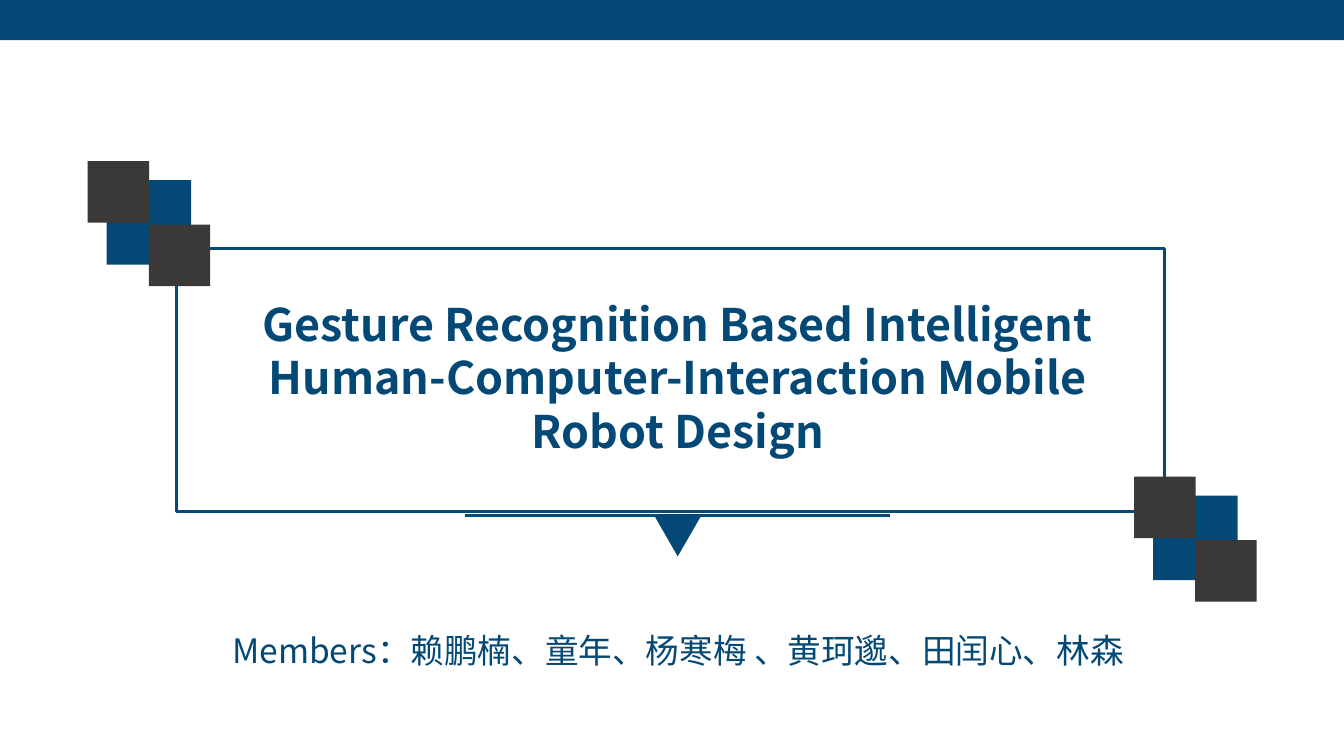
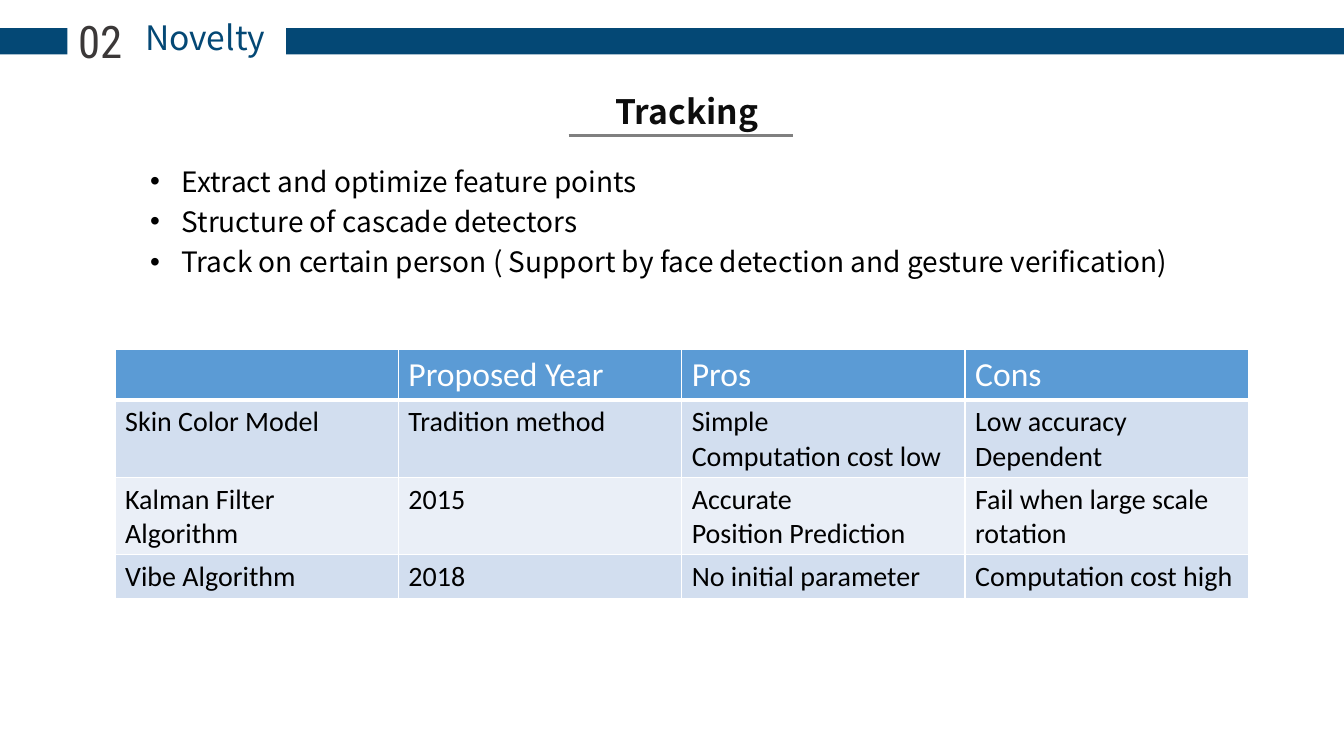
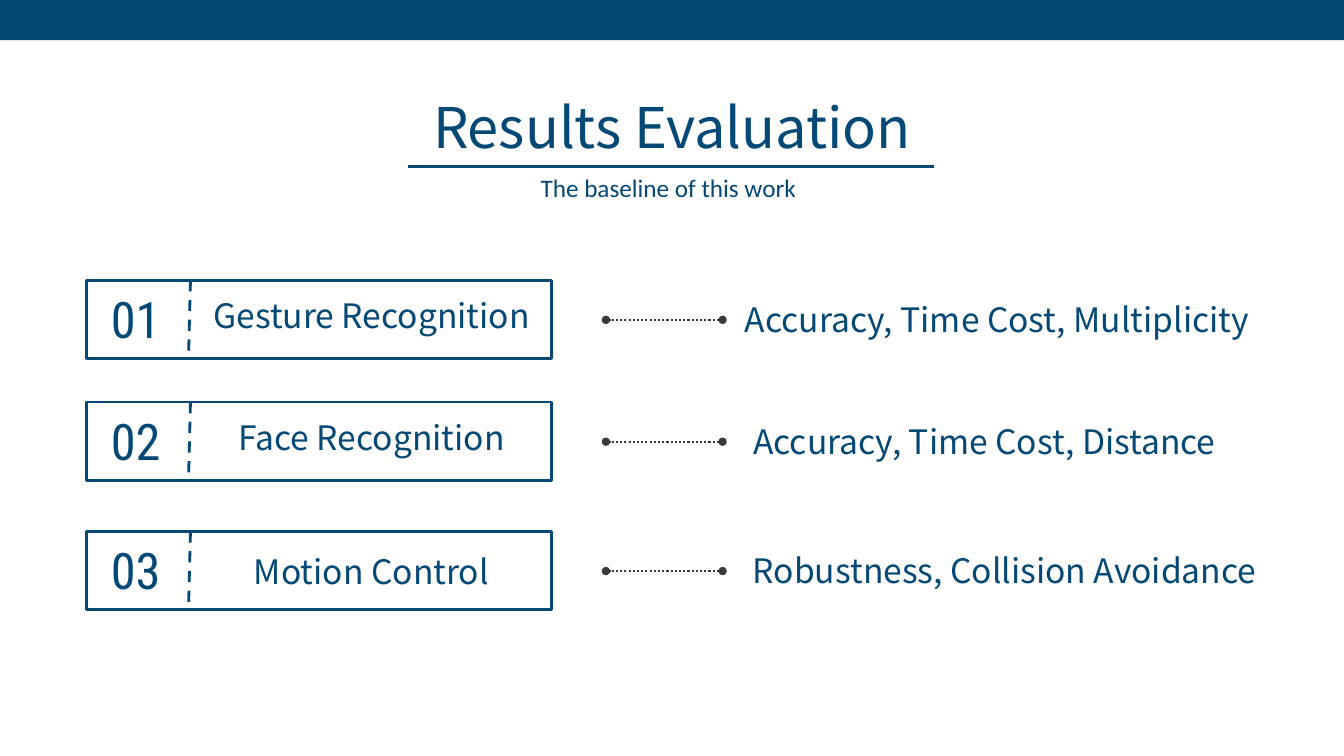
from lxml.etree import SubElement
from pptx import Presentation
from pptx.dml.color import RGBColor
from pptx.enum.dml import MSO_LINE
from pptx.enum.shapes import MSO_CONNECTOR, MSO_SHAPE
from pptx.enum.text import MSO_ANCHOR, MSO_AUTO_SIZE, PP_ALIGN
from pptx.oxml.ns import qn
from pptx.util import Cm, Pt

NAVY = RGBColor(0x04, 0x48, 0x75)
CHARCOAL = RGBColor(0x3B, 0x38, 0x38)
GRAY = RGBColor(0x80, 0x80, 0x80)
INK = RGBColor(0x0D, 0x0D, 0x0D)
BLACK = RGBColor(0, 0, 0)
WHITE = RGBColor(0xFF, 0xFF, 0xFF)
HEADER_BLUE = RGBColor(0x5B, 0x9B, 0xD5)
ROW_FILLS = [RGBColor(0xD2, 0xDE, 0xEF), RGBColor(0xEA, 0xEF, 0xF7)]

SANS = "Noto Sans CJK SC"
NUMERAL = "Roboto Condensed"
TABLE_FONT = "Calibri"

SLIDE_WIDTH, SLIDE_HEIGHT = 33.87, 19.05

COVER_TITLE = [
    "Gesture Recognition Based Intelligent",
    "Human-Computer-Interaction Mobile Robot Design",
]
MEMBERS = ["Members：赖鹏楠、童年、杨寒梅 、黄珂邈、田闰心、林森"]
SQUARE_CLUSTERS = [(28.58, 12.01), (2.21, 4.06)]

TRACKING_POINTS = [
    "Extract and optimize feature points",
    "Structure of cascade detectors",
    "Track on certain person ( Support by face detection and gesture verification)",
]
METHODS = [
    ("", "Proposed Year", "Pros", "Cons"),
    ("Skin Color Model", "Tradition method", "Simple\nComputation cost low", "Low accuracy\nDependent"),
    ("Kalman Filter Algorithm", "2015", "Accurate\nPosition Prediction", "Fail when large scale rotation"),
    ("Vibe Algorithm", "2018", "No initial parameter", "Computation cost high"),
]
METHOD_ROW_HEIGHTS = [1.26, 1.94, 1.94, 1.09]
METHOD_COLUMN_WIDTH = 7.14

EVALUATIONS = [
    dict(top=7.06, label="Gesture Recognition", label_drop=0.25,
         criteria="Accuracy, Time Cost, Multiplicity ", left=18.21, width=14.02),
    dict(top=10.13, label="Face Recognition", label_drop=0.25,
         criteria="Accuracy, Time Cost, Distance", left=18.42, width=12.78),
    dict(top=13.39, label="Motion Control", label_drop=0.36,
         criteria="Robustness, Collision Avoidance", left=18.42, width=13.79),
]


def write(frame, lines, size=24, font=SANS, color=NAVY, bold=False,
          align=PP_ALIGN.CENTER, spacing=None, bullet=None):
    for index, line in enumerate(lines):
        para = frame.paragraphs[0] if index == 0 else frame.add_paragraph()
        if bullet:
            properties = para._p.get_or_add_pPr()
            properties.set("marL", str(Cm(0.79)))
            properties.set("indent", str(-Cm(0.79)))
            SubElement(properties, qn("a:buFont")).set("typeface", "Arial")
            SubElement(properties, qn("a:buChar")).set("char", bullet)
        para.alignment = align
        para.space_before = Pt(0)
        if spacing:
            para.line_spacing = spacing
        span = para.add_run()
        span.text = line
        span.font.size = Pt(size)
        span.font.name = font
        span.font.bold = bold
        span.font.color.rgb = color
        SubElement(span._r.get_or_add_rPr(), qn("a:ea")).set("typeface", font)


def fill_placeholder(box, lines, left, top, width, height, **style):
    box.left, box.top, box.width, box.height = Cm(left), Cm(top), Cm(width), Cm(height)
    frame = box.text_frame
    frame.word_wrap = True
    frame.auto_size = MSO_AUTO_SIZE.NONE
    frame.vertical_anchor = MSO_ANCHOR.TOP
    write(frame, lines, **style)


def add_text(page, text, left, top, width, height, **style):
    box = page.shapes.add_textbox(Cm(left), Cm(top), Cm(width), Cm(height))
    box.text_frame.word_wrap = True
    write(box.text_frame, [text], **style)


def add_block(page, left, top, width, height, fill=None, outline=None, kind=MSO_SHAPE.RECTANGLE):
    shape = page.shapes.add_shape(kind, Cm(left), Cm(top), Cm(width), Cm(height))
    shape.shadow.inherit = False
    if fill is None:
        shape.fill.background()
    else:
        shape.fill.solid()
        shape.fill.fore_color.rgb = fill
    if outline is None:
        shape.line.fill.background()
    else:
        shape.line.color.rgb = outline
        shape.line.width = Pt(2)
    return shape


def add_line(page, start, end, color=NAVY, width=2, dash=None, ends=None):
    line = page.shapes.add_connector(
        MSO_CONNECTOR.STRAIGHT, Cm(start[0]), Cm(start[1]), Cm(end[0]), Cm(end[1]))
    line.line.color.rgb = color
    line.line.width = Pt(width)
    if dash:
        line.line.dash_style = dash
    if ends:
        outline = line.line._get_or_add_ln()
        for tag in ("a:headEnd", "a:tailEnd"):
            SubElement(outline, qn(tag)).set("type", ends)
    SubElement(line._element.spPr, qn("a:effectLst"))


def add_top_band(page):
    add_block(page, 0, 0, SLIDE_WIDTH, 1.01, fill=NAVY)


def add_square_cluster(page, left, top):
    add_block(page, left + 0.48, top + 0.48, 2.13, 2.13, fill=NAVY)
    for shift_x, shift_y in [(0, 0), (1.54, 1.6)]:
        add_block(page, left + shift_x, top + shift_y, 1.55, 1.55, fill=CHARCOAL)


def format_cell(cell, text, fill, bottom_width, **style):
    properties = cell._tc.get_or_add_tcPr()
    for side, width in [("L", 1), ("R", 1), ("T", 1), ("B", bottom_width)]:
        border = SubElement(properties, qn("a:ln" + side), w=str(Pt(width)))
        color = SubElement(SubElement(border, qn("a:solidFill")), qn("a:srgbClr"))
        color.set("val", str(WHITE))
    cell.fill.solid()
    cell.fill.fore_color.rgb = fill
    if text:
        write(cell.text_frame, text.split("\n"), font=TABLE_FONT, align=PP_ALIGN.LEFT, **style)


def add_methods_table(page):
    table = page.shapes.add_table(
        len(METHODS), len(METHODS[0]), Cm(2.9), Cm(8.81),
        Cm(METHOD_COLUMN_WIDTH * len(METHODS[0])), Cm(sum(METHOD_ROW_HEIGHTS))).table
    for column in table.columns:
        column.width = Cm(METHOD_COLUMN_WIDTH)
    for index, (values, height) in enumerate(zip(METHODS, METHOD_ROW_HEIGHTS)):
        table.rows[index].height = Cm(height)
        for column, text in enumerate(values):
            cell = table.cell(index, column)
            if index == 0:
                format_cell(cell, text, HEADER_BLUE, 3, size=24, color=WHITE)
            else:
                format_cell(cell, text, ROW_FILLS[(index - 1) % 2], 1, size=20, color=BLACK)


def add_evaluation(page, number, top, label, label_drop, criteria, left, width):
    add_text(page, label, 4.7, top + label_drop, 9.32, 1.27)
    add_block(page, 2.18, top, 11.73, 1.98, outline=NAVY)
    add_line(page, (4.8, top), (4.75, top + 1.98), dash=MSO_LINE.DASH)
    add_text(page, f"{number:02}", 2.06, top + 0.07, 2.72, 1.8, size=36, font=NUMERAL)
    middle = top + 1
    add_line(page, (18.21, middle), (15.27, middle), color=CHARCOAL, width=1.5,
             dash=MSO_LINE.ROUND_DOT, ends="oval")
    add_text(page, criteria, left, top + 0.34, width, 1.27)


def build_cover(deck):
    page = deck.slides.add_slide(deck.slide_layouts[0])
    fill_placeholder(page.shapes.title, COVER_TITLE, 5.44, 7.34, 23.29, 4.37, size=32, bold=True)
    fill_placeholder(page.placeholders[1], MEMBERS, 2.67, 15.75, 28.83, 1.27)
    add_line(page, (11.73, 13), (22.43, 13))
    pointer = add_block(page, 16.51, 13.03, 1.14, 0.99, fill=NAVY, kind=MSO_SHAPE.ISOSCELES_TRIANGLE)
    pointer.rotation = 180
    add_block(page, 4.45, 6.27, 24.89, 6.63, outline=NAVY)
    for left, top in SQUARE_CLUSTERS:
        add_square_cluster(page, left, top)
    add_top_band(page)


def build_novelty(deck):
    page = deck.slides.add_slide(deck.slide_layouts[1])
    for left, right in [(0, 1.7), (7.21, SLIDE_WIDTH)]:
        add_block(page, left, 0.71, right - left, 0.66, fill=NAVY)
    fill_placeholder(page.shapes.title, ["Novelty"], 1.78, 0.3, 6.78, 1.27)
    add_text(page, "02", 1.52, 0.23, 2.01, 1.63, size=32, font=NUMERAL, color=CHARCOAL)
    add_methods_table(page)
    fill_placeholder(page.placeholders[1], TRACKING_POINTS, 3.53, 3.84, 26.9, 4.27, size=20,
                     color=BLACK, align=PP_ALIGN.LEFT, spacing=1.2, bullet="•")
    add_text(page, "Tracking", 12.27, 2.16, 10.08, 1.27, color=INK, bold=True)
    add_line(page, (14.33, 3.42), (19.98, 3.42), color=GRAY, width=1.75)


def build_results(deck):
    page = deck.slides.add_slide(deck.slide_layouts[5])
    add_top_band(page)
    fill_placeholder(page.shapes.title, ["Results Evaluation"], 7.65, 2.21, 18.57, 1.96, size=40)
    add_text(page, "The baseline of this work ", 9.6, 4.22, 14.63, 1.02, size=18, font=TABLE_FONT)
    add_line(page, (10.29, 4.19), (23.55, 4.19))
    for number, evaluation in enumerate(EVALUATIONS, 1):
        add_evaluation(page, number, **evaluation)


def main():
    deck = Presentation()
    deck.slide_width, deck.slide_height = Cm(SLIDE_WIDTH), Cm(SLIDE_HEIGHT)
    build_cover(deck)
    build_novelty(deck)
    build_results(deck)
    deck.save("out.pptx")


if __name__ == "__main__":
    main()
